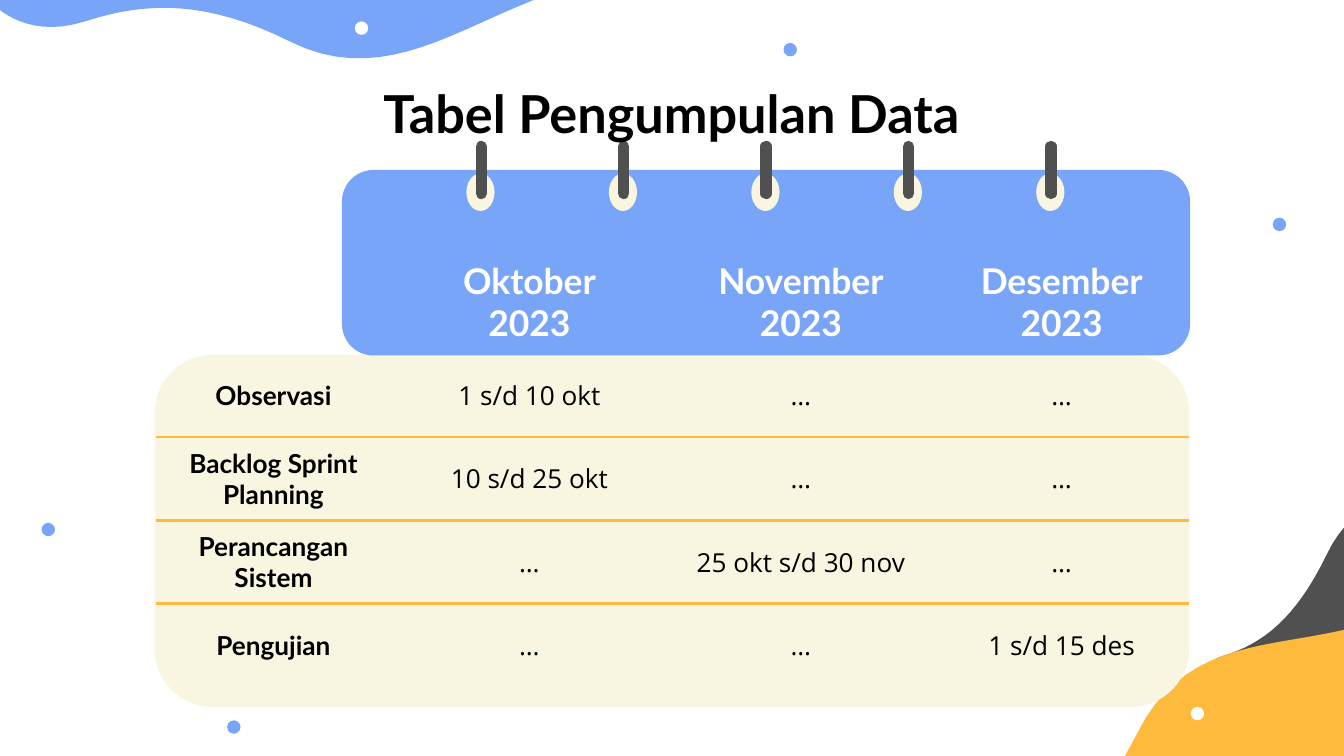
from dataclasses import dataclass

from lxml import etree
from pptx import Presentation
from pptx.dml.color import RGBColor
from pptx.enum.shapes import MSO_CONNECTOR, MSO_SHAPE
from pptx.enum.text import MSO_ANCHOR, PP_ALIGN
from pptx.oxml.ns import qn
from pptx.util import Inches, Pt

OVAL = MSO_SHAPE.OVAL
ROUNDED = MSO_SHAPE.ROUNDED_RECTANGLE
STRAIGHT = MSO_CONNECTOR.STRAIGHT
TOP, MIDDLE = MSO_ANCHOR.TOP, MSO_ANCHOR.MIDDLE
CENTER = PP_ALIGN.CENTER


@dataclass(frozen=True)
class Theme:
    blue: str = "78A5F8"
    yellow: str = "FDBA3C"
    gray: str = "505050"
    cream: str = "F8F5E0"
    white: str = "FFFFFF"
    black: str = "000000"
    heading_font: str = "Lato"
    body_font: str = "Open Sans"
    title_size: float = 28
    header_size: float = 19
    body_size: float = 14
    outline_width: float = 0.75
    rule_width: float = 1.5
    ring_width: float = 6


DARK_WAVE = [(11.73, 3.27), (11.73, 3.27), (11.23, 3.51), (10.86, 3.59),
             (10.49, 3.67), (10.09, 3.66), (9.87, 4.13),
             (9.64, 4.6), (9.4, 4.79), (9.1, 4.88),
             (8.8, 4.98), (8.78, 5.29), (8.78, 5.29)]
YELLOW_WAVE = [(11.15, 4.27), (11.15, 4.27), (10.43, 4.61), (9.89, 4.71),
               (9.35, 4.82), (8.78, 4.81), (8.46, 5.46),
               (8.13, 6.11), (7.78, 6.36), (7.35, 6.5),
               (6.91, 6.63), (6.88, 7.05), (6.88, 7.05)]
BLUE_WAVE = [(5.23, -0.35), (5.23, -0.35), (4.4, -0.19), (3.85, 0.05),
             (3.3, 0.28), (2.78, 0.62), (2.16, 0.31),
             (1.54, 0), (1.09, 0.01), (0.63, 0.16),
             (0.16, 0.31), (-0.08, 0), (-0.08, 0)]

BLUE_DOTS = [(5.83, 0.32), (1.69, 5.36), (9.47, 1.62), (0.31, 3.89)]
WHITE_DOTS = [(8.86, 5.26), (2.64, 0.16)]

SCHEDULE = [
    ["", "Oktober\n2023", "November\n2023", "Desember\n2023"],
    ["Observasi", "1 s/d 10 okt", "…", "…"],
    ["Backlog Sprint Planning", "10 s/d 25 okt", "…", "…"],
    ["Perancangan\nSistem", "…", "25 okt s/d 30 nov", "…"],
    ["Pengujian", "…", "…", "1 s/d 15 des"],
]
COLUMN_WIDTHS = [1.75, 2.06, 1.98, 1.9]
ROW_HEIGHTS = [0.77] + [0.62] * 4


def curve_points(knots, steps=16):
    """Sample a chain of cubic Bézier curves, after its first point."""
    for i in range(0, len(knots) - 1, 3):
        for step in range(1, steps + 1):
            t = step / steps
            weights = ((1 - t) ** 3, 3 * t * (1 - t) ** 2,
                       3 * t ** 2 * (1 - t), t ** 3)
            yield tuple(sum(w * knot[axis] for w, knot in zip(weights, knots[i:i + 4]))
                        for axis in (0, 1))


def write_text(frame, text, *, size, font, color, bold=False):
    """Put centred text in a frame, one paragraph for each line."""
    frame.word_wrap = True
    for i, line in enumerate(text.split("\n")):
        paragraph = frame.add_paragraph() if i else frame.paragraphs[0]
        paragraph.alignment = CENTER
        run = paragraph.add_run()
        run.text = line
        run.font.size = Pt(size)
        run.font.name = font
        run.font.bold = bold
        run.font.color.rgb = RGBColor.from_string(color)


def set_borders(cell, theme, ruled_sides):
    properties = cell._tc.get_or_add_tcPr()
    for position, side in enumerate("LRTB"):
        border = etree.Element(qn(f"a:ln{side}"))
        if side in ruled_sides:
            border.set("w", str(Pt(theme.rule_width)))
            fill = etree.SubElement(border, qn("a:solidFill"))
            etree.SubElement(fill, qn("a:srgbClr"), val=theme.yellow)
        else:
            etree.SubElement(border, qn("a:noFill"))
        properties.insert(position, border)


class SlideBuilder:
    def __init__(self, slide, theme):
        self.slide = slide
        self.theme = theme

    def paint(self, shape, color, outlined=False):
        shape.shadow.inherit = False
        shape.fill.solid()
        shape.fill.fore_color.rgb = RGBColor.from_string(color)
        if outlined:
            shape.line.color.rgb = RGBColor.from_string(color)
            shape.line.width = Pt(self.theme.outline_width)
        else:
            shape.line.fill.background()

    def shape(self, kind, left, top, width, height, color, outlined=False):
        shape = self.slide.shapes.add_shape(
            kind, Inches(left), Inches(top), Inches(width), Inches(height))
        self.paint(shape, color, outlined)

    def wave(self, knots, corner, color):
        """Draw a curved edge closed by straight lines through the corner."""
        start, *outline = [(Inches(x), Inches(y))
                           for x, y in (knots[0], *curve_points(knots), corner)]
        builder = self.slide.shapes.build_freeform(*start)
        builder.add_line_segments(outline, close=True)
        self.paint(builder.convert_to_shape(), color)

    def ring(self, x):
        """Draw a binder hole with the wire that goes through it."""
        theme = self.theme
        self.shape(OVAL, x, 1.29, 0.21, 0.28, theme.cream)
        wire_x = Inches(x + 0.11)
        wire = self.slide.shapes.add_connector(
            STRAIGHT, wire_x, Inches(1.44), wire_x, Inches(1.09))
        wire.line.width = Pt(theme.ring_width)
        wire.line.color.rgb = RGBColor.from_string(theme.gray)
        wire.line._get_or_add_ln().set("cap", "rnd")
        etree.SubElement(wire._element.spPr, qn("a:effectLst"))

    def title(self, text):
        theme = self.theme
        box = self.slide.shapes.add_textbox(
            Inches(0.78), Inches(0.59), Inches(8.43), Inches(0.5))
        box.text_frame.vertical_anchor = MIDDLE
        write_text(box.text_frame, text, size=theme.title_size,
                   font=theme.heading_font, color=theme.black, bold=True)

    def table(self, rows, left, top, widths, heights):
        theme = self.theme
        table = self.slide.shapes.add_table(
            len(rows), len(widths), Inches(left), Inches(top),
            Inches(sum(widths)), Inches(sum(heights))).table
        table.first_row = table.horz_banding = False
        for column, width in zip(table.columns, widths):
            column.width = Inches(width)
        for r, (labels, height) in enumerate(zip(rows, heights)):
            table.rows[r].height = Inches(height)
            ruled_sides = ("T" if r > 1 else "") + ("B" if 0 < r < len(rows) - 1 else "")
            for c, label in enumerate(labels):
                cell = table.cell(r, c)
                cell.fill.background()
                cell.margin_left = cell.margin_right = Inches(0.1)
                cell.margin_top = cell.margin_bottom = Inches(0.07)
                cell.vertical_anchor = MIDDLE if r else TOP
                set_borders(cell, theme, ruled_sides)
                if label:
                    heading = r == 0 or c == 0
                    write_text(cell.text_frame, label, bold=heading,
                               size=theme.body_size if r else theme.header_size,
                               font=theme.heading_font if heading else theme.body_font,
                               color=theme.black if r else theme.white)


def main():
    presentation = Presentation()
    presentation.slide_width = Inches(10)
    presentation.slide_height = Inches(10 * 9 / 16)
    slide = presentation.slides.add_slide(presentation.slide_layouts[6])
    theme = Theme()
    page = SlideBuilder(slide, theme)

    page.wave(DARK_WAVE, (11.57, 5.29), theme.gray)
    page.wave(YELLOW_WAVE, (10.92, 7.05), theme.yellow)
    page.wave(BLUE_WAVE, (3.65, -2.37), theme.blue)
    for dots, color in ((BLUE_DOTS, theme.blue), (WHITE_DOTS, theme.white)):
        for left, top in dots:
            page.shape(OVAL, left, top, 0.1, 0.1, color)

    page.shape(ROUNDED, 1.15, 2.64, 7.7, 2.62, theme.cream)
    page.shape(ROUNDED, 2.55, 1.27, 6.3, 1.37, theme.blue, outlined=True)
    for i in range(5):
        page.ring(3.47 + 1.06 * i)

    page.title("Tabel Pengumpulan Data")
    page.table(SCHEDULE, 1.16, 1.86, COLUMN_WIDTHS, ROW_HEIGHTS)
    presentation.save("out.pptx")


if __name__ == "__main__":
    main()
